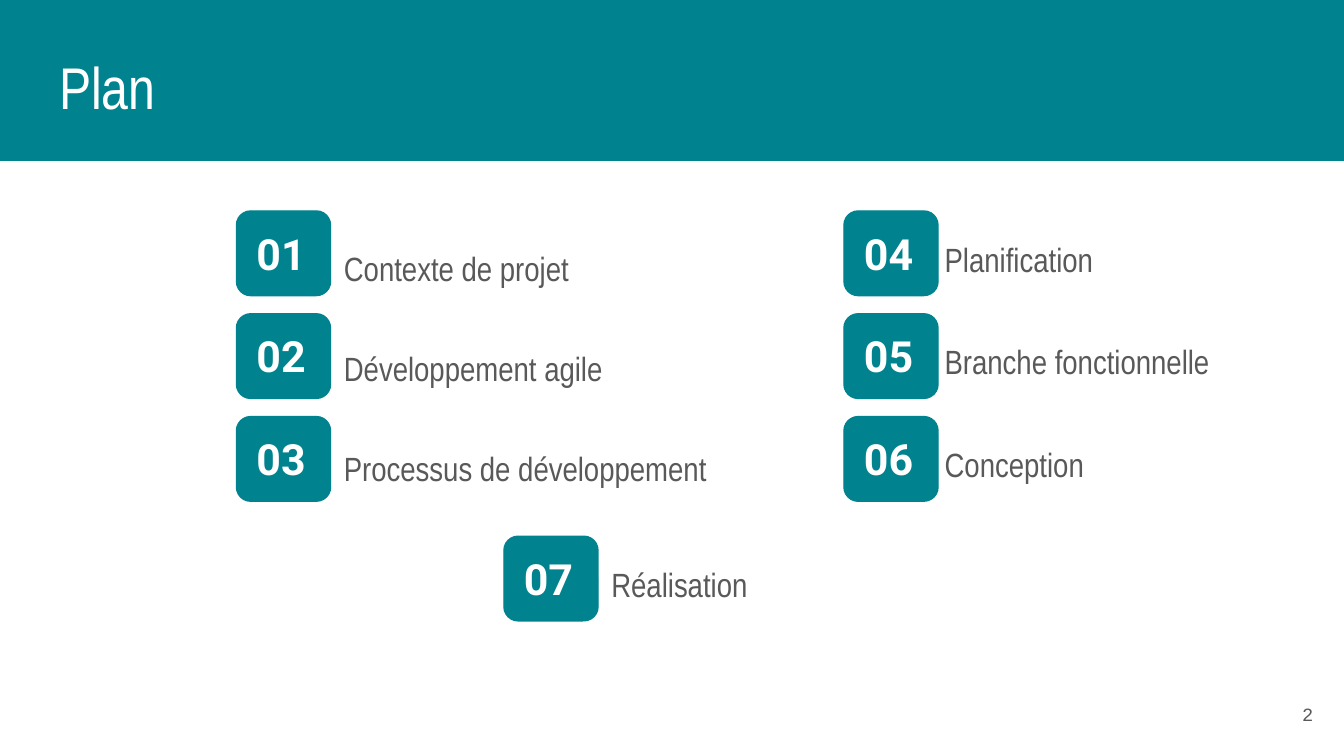
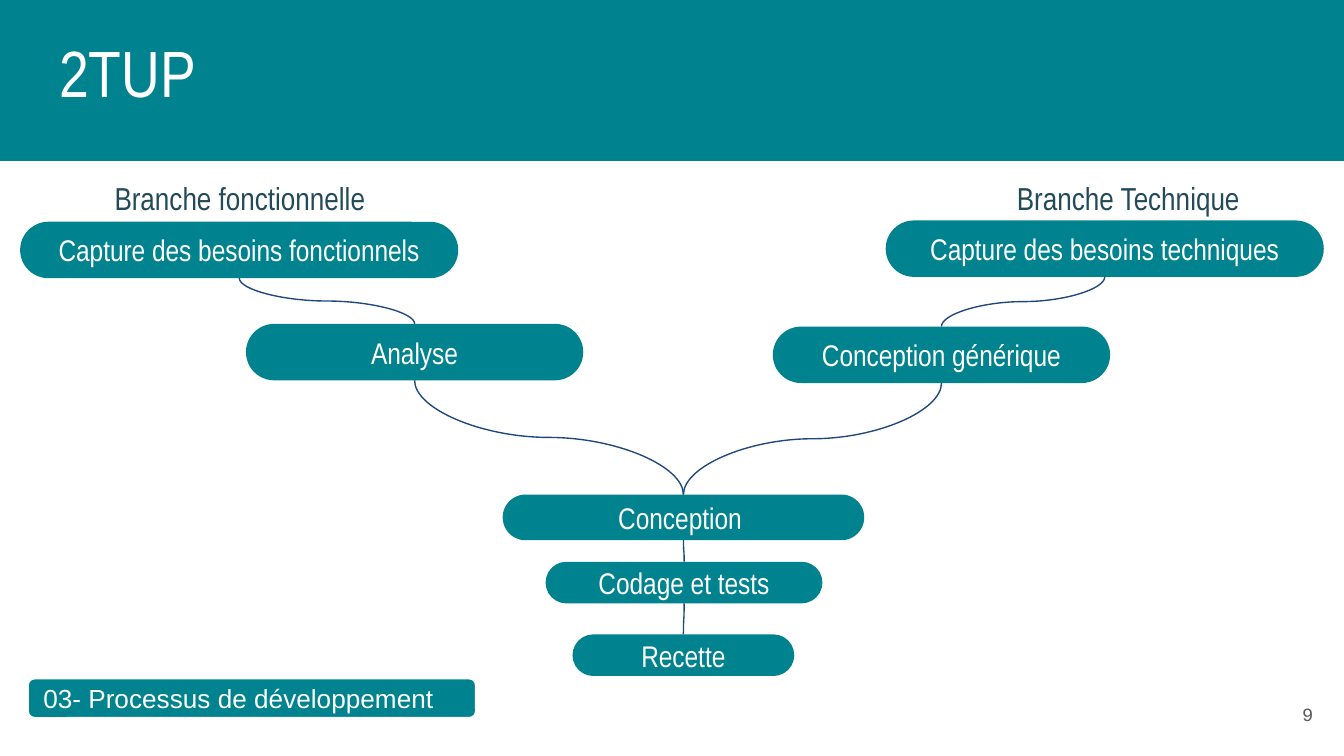
"""Build the plan slide and the 2TUP process slide."""
import lxml.etree
import pptx
import pptx.dml.color
import pptx.enum.shapes
import pptx.enum.text
import pptx.oxml.ns
import pptx.util

Inches = pptx.util.Inches
Shape = pptx.enum.shapes.MSO_SHAPE
Align = pptx.enum.text.PP_ALIGN
Anchor = pptx.enum.text.MSO_ANCHOR
qn = pptx.oxml.ns.qn

COLORS = {
    "teal": "00838F",
    "white": "FFFFFF",
    "gray": "595959",
    "heading": "234A59",
    "connector": "1F497D",
}
NARROW = "Arial Narrow"


def add_block(slide, kind, box, line=None, radius=None):
    """Add a teal shape with an optional outline and corner radius."""
    shape = slide.shapes.add_shape(kind, *map(Inches, box))
    shape.shadow.inherit = False
    shape.fill.solid()
    shape.fill.fore_color.rgb = pptx.dml.color.RGBColor.from_string(COLORS["teal"])
    if line:
        shape.line.color.rgb = pptx.dml.color.RGBColor.from_string(COLORS[line])
        shape.line.width = pptx.util.Pt(0.75)
    else:
        shape.line.fill.background()
    if radius is not None:
        shape.adjustments[0] = radius
    return shape


def write(shape, text, size, color, font=NARROW, align=Align.LEFT, anchor=Anchor.TOP, bold=False):
    """Put one formatted paragraph in a shape and return the paragraph."""
    frame = shape.text_frame
    frame.text = text
    frame.word_wrap = True
    frame.vertical_anchor = anchor
    frame.margin_left = frame.margin_right = Inches(0.1)
    frame.margin_top = frame.margin_bottom = Inches(0.1)
    paragraph = frame.paragraphs[0]
    paragraph.alignment = align
    run_font = paragraph.runs[0].font
    run_font.name = font
    run_font.size = pptx.util.Pt(size)
    run_font.bold = bold
    run_font.color.rgb = pptx.dml.color.RGBColor.from_string(COLORS[color])
    return paragraph


presentation = pptx.Presentation()
presentation.slide_width = Inches(10)
presentation.slide_height = Inches(10) * 9 // 16
layout = presentation.slide_layouts[5]

slides = []
for title, size, top, width, number in [
    ("Plan", 31.5, 0.2, 9.52, "2"),
    ("2TUP", 35, 0.12, 9.32, "9"),
]:
    slide = presentation.slides.add_slide(layout)
    slides.append(slide)
    heading = slide.shapes.title
    heading.left, heading.top = Inches(0.34), Inches(top)
    heading.width, heading.height = Inches(width), Inches(0.8)
    write(heading, title, size, "white", anchor=Anchor.BOTTOM)
    heading.text_frame.auto_size = pptx.enum.text.MSO_AUTO_SIZE.NONE
    page_number = slide.shapes.add_textbox(*map(Inches, (9.27, 5.1, 0.6, 0.43)))
    write(page_number, number, 10, "gray", "Courier New", Align.RIGHT, Anchor.MIDDLE)

plan, process = slides

band = add_block(plan, Shape.RECTANGLE, (-0.03, -0.02, 10.03, 1.21), "teal")
layout.shapes[0].element.addprevious(band.element)

topic_number = 0
for left, top, bottom, label_left, label_top, label_bottom, topics in [
    (1.76, 1.57, 3.1, 2.46, 1.7, 3.19,
     ["Contexte de projet", "Développement agile", "Processus de développement"]),
    (6.28, 1.57, 3.1, 6.93, 1.63, 3.16,
     ["Planification", "Branche fonctionnelle", "Conception"]),
    (3.75, 3.99, 3.99, 4.45, 4.05, 4.05, ["Réalisation"]),
]:
    for row, topic in enumerate(topics):
        topic_number += 1
        badge_top = top + row * (bottom - top) / 2
        row_top = label_top + row * (label_bottom - label_top) / 2
        add_block(plan, Shape.ROUNDED_RECTANGLE, (left, badge_top, 0.7, 0.63), "teal", 0.167)
        badge_text = plan.shapes.add_textbox(
            *map(Inches, (left + 0.05, badge_top + 0.02, 0.6, 0.59)))
        write(badge_text, f"{topic_number:02d}", 23, "white", "Roboto", bold=True)
        label = plan.shapes.add_textbox(*map(Inches, (label_left, row_top, 3.28, 0.5)))
        paragraph = write(label, topic, 18, "gray")
        paragraph.line_spacing = 1.15
        paragraph.space_after = pptx.util.Pt(12)

section = add_block(process, Shape.ROUNDED_RECTANGLE, (0.21, 5.05, 3.33, 0.29), "white", 0.167)
write(section, "03- Processus de développement", 14, "white", "Arial", anchor=Anchor.MIDDLE)

for branch, left, height in [
    ("Branche fonctionnelle", 0.69, 0.31),
    ("Branche Technique", 7.3, 0.45),
]:
    branch_label = process.shapes.add_textbox(*map(Inches, (left, 1.23, 2.19, height)))
    write(branch_label, branch, 17, "heading", align=Align.CENTER)

steps = {}
for step, box in [
    ("Capture des besoins fonctionnels", (0.15, 1.65, 3.26, 0.42)),
    ("Capture des besoins techniques", (6.59, 1.64, 3.26, 0.42)),
    ("Analyse", (1.83, 2.41, 2.51, 0.42)),
    ("Conception générique", (5.75, 2.43, 2.51, 0.42)),
    ("Conception ", (3.74, 3.68, 2.69, 0.34)),
    ("Codage et tests", (4.06, 4.18, 2.06, 0.31)),
    ("Recette", (4.26, 4.72, 1.65, 0.31)),
]:
    steps[step] = add_block(process, Shape.ROUNDED_RECTANGLE, box, radius=0.5)
    write(steps[step], step, 16, "white", align=Align.CENTER, anchor=Anchor.MIDDLE)

for source, target in [
    ("Capture des besoins fonctionnels", "Analyse"),
    ("Capture des besoins techniques", "Conception générique"),
    ("Analyse", "Conception "),
    ("Conception générique", "Conception "),
    ("Conception ", "Codage et tests"),
    ("Codage et tests", "Recette"),
]:
    connector = process.shapes.add_connector(
        pptx.enum.shapes.MSO_CONNECTOR.CURVE, 0, 0, 0, 0)
    connector.begin_connect(steps[source], 2)
    connector.end_connect(steps[target], 0)
    connector.line.color.rgb = pptx.dml.color.RGBColor.from_string(COLORS["connector"])
    connector.line.width = pptx.util.Pt(0.75)
    across = connector.end_x - connector.begin_x
    down = connector.end_y - connector.begin_y
    middle_x = (connector.begin_x + connector.end_x) // 2
    middle_y = (connector.begin_y + connector.end_y) // 2
    connector.width, connector.height = down, abs(across)
    connector.left = middle_x - down // 2
    connector.top = middle_y - abs(across) // 2
    properties = connector.element.spPr
    transform = properties.find(qn("a:xfrm"))
    for flip in ("flipH", "flipV"):
        transform.attrib.pop(flip, None)
    transform.set("rot", "5400000" if across < 0 else "16200000")
    if across >= 0:
        transform.set("flipH", "1")
    lxml.etree.SubElement(properties, qn("a:effectLst"))

presentation.save("out.pptx")
